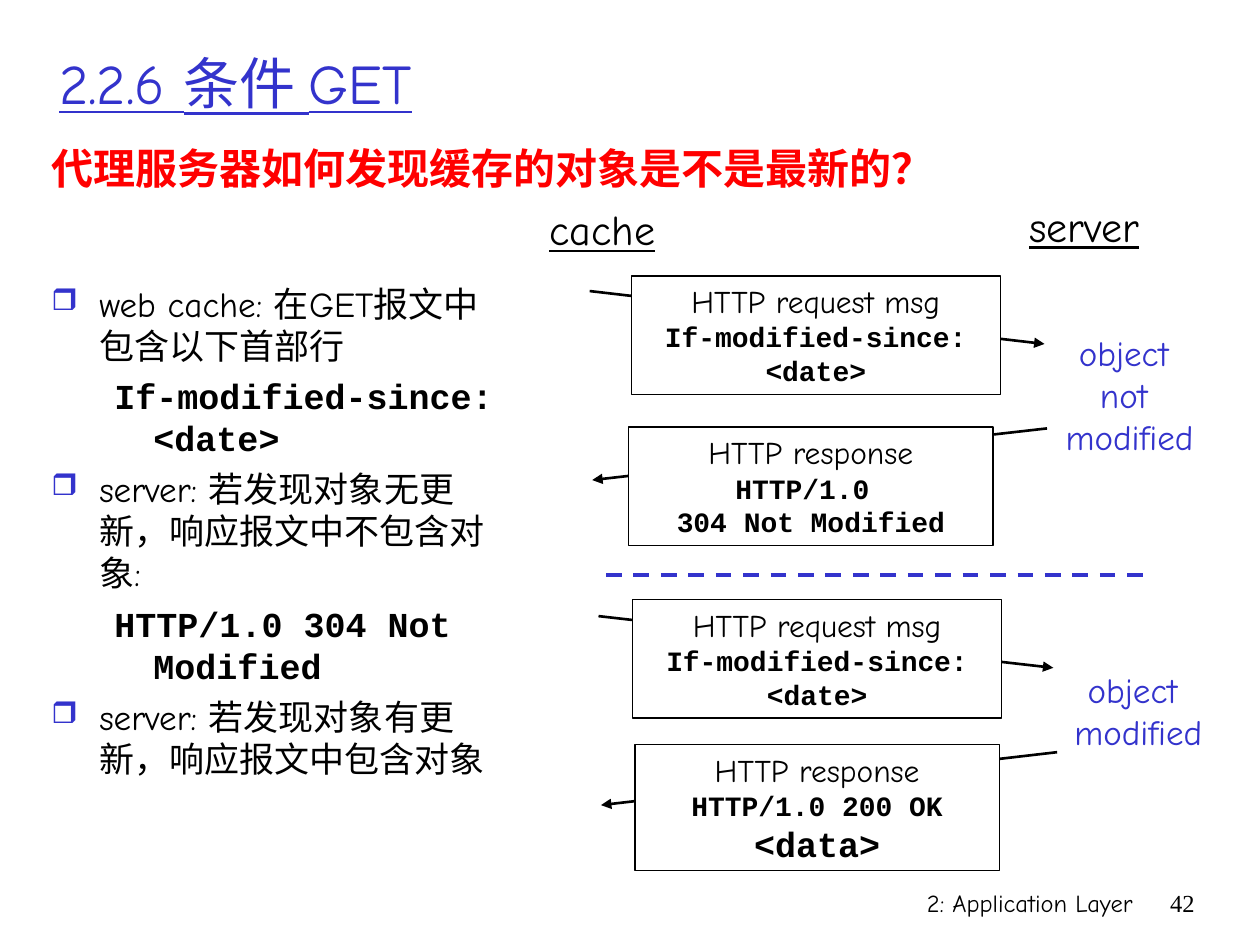
"""Build the conditional GET slide: explanation on the left, cache/server exchanges on the right."""
from lxml.etree import SubElement
from pptx import Presentation
from pptx.dml.color import RGBColor
from pptx.enum.dml import MSO_LINE
from pptx.enum.shapes import MSO_CONNECTOR, MSO_SHAPE
from pptx.enum.text import MSO_ANCHOR, MSO_AUTO_SIZE, PP_ALIGN
from pptx.oxml.ns import qn
from pptx.util import Inches, Pt

COLORS = {"black": "000000", "blue": "3333CC", "red": "FF0000", "white": "FFFFFF"}
COMIC, COURIER, TIMES = "Comic Neue", "Courier New", "Times New Roman"
LEFT, CENTER, RIGHT = PP_ALIGN.LEFT, PP_ALIGN.CENTER, PP_ALIGN.RIGHT

prs = Presentation()
prs.slide_width, prs.slide_height = Inches(10), Inches(7.5)
slide = prs.slides.add_slide(prs.slide_layouts[6])
col, row = prs.slide_width / 100, prs.slide_height / 75


def write(sp, lines, align=LEFT, color="black", underline=False, wrap=True, anchor=MSO_ANCHOR.TOP):
    tf = sp.text_frame
    tf.word_wrap, tf.vertical_anchor = wrap, anchor
    tf.auto_size = MSO_AUTO_SIZE.NONE if wrap else MSO_AUTO_SIZE.SHAPE_TO_FIT_TEXT
    for i, (text, size, font, bold) in enumerate(lines):
        p = tf.add_paragraph() if i else tf.paragraphs[0]
        p.alignment = align
        r = p.add_run()
        r.text = text
        r.font.name, r.font.size, r.font.bold = font, Pt(size), bold
        r.font.underline = underline
        r.font.color.rgb = RGBColor.from_string(COLORS[color])
    return tf


def connect(x1, y1, x2, y2, color="black", width=1.5):
    ends = [int(v) for v in (x1 * col, y1 * row, x2 * col, y2 * row)]
    cx = slide.shapes.add_connector(MSO_CONNECTOR.STRAIGHT, *ends)
    cx.line.color.rgb = RGBColor.from_string(COLORS[color])
    cx.line.width = Pt(width)
    SubElement(cx._element.spPr, qn("a:effectLst"))
    return cx


labels = [
    ((59.2, 70, 31.7, 5), [("2: Application Layer", 14, COMIC, False)], {"align": RIGHT}),
    ((90.8, 70, 5, 5), [("42", 14, TIMES, False)], {"align": RIGHT}),
    ((3.7, 1.7, 87.1, 9.7), [("2.2.6 条件 GET", 32, COMIC, False)],
     {"color": "blue", "underline": True, "anchor": MSO_ANCHOR.MIDDLE}),
    ((3.1, 10.8, 78.4, 5), [("代理服务器如何发现缓存的对象是不是最新的？", 24, COMIC, True)],
     {"color": "red"}),
    ((42.6, 15.7, 10.4, 5), [("cache", 24, COMIC, False)],
     {"align": CENTER, "underline": True, "wrap": False}),
    ((80.7, 15.4, 10.7, 5), [("server", 24, COMIC, False)],
     {"align": CENTER, "underline": True, "wrap": False}),
    ((83.4, 25.8, 12.5, 11), [(t, 20, COMIC, False) for t in ("object ", "not ", "modified")],
     {"align": CENTER, "color": "blue", "wrap": False}),
    ((84.1, 52.6, 12.5, 7.7), [(t, 20, COMIC, False) for t in ("object ", "modified")],
     {"align": CENTER, "color": "blue", "wrap": False}),
]
for (x, y, w, h), lines, style in labels:
    sp = slide.shapes.add_textbox(int(x * col), int(y * row), int(w * col), int(h * row))
    write(sp, lines, **style)

points = [
    ("web cache: 在GET报文中包含以下首部行", 20, COMIC, False),
    ("If-modified-since: <date>", 20, COURIER, True),
    ("server: 若发现对象无更新，响应报文中不包含对象:", 20, COMIC, False),
    ("HTTP/1.0 304 Not Modified", 20, COURIER, True),
    ("server: 若发现对象有更新，响应报文中包含对象", 20, COMIC, False),
]
sp = slide.shapes.add_textbox(int(3.1 * col), int(21.9 * row), int(38 * col), int(46.4 * row))
for p, (text, size, font, code) in zip(write(sp, points).paragraphs, points):
    p.space_before = Pt(5)
    pPr = p._p.get_or_add_pPr()
    margin, indent = (0.81, -0.31) if code else (0.38, -0.38)
    pPr.set("marL", str(Inches(margin)))
    pPr.set("indent", str(Inches(indent)))
    pPr.set("hangingPunct", "0")
    if code:
        p.level = 1
        SubElement(pPr, qn("a:buNone"))
    else:
        SubElement(SubElement(pPr, qn("a:buClr")), qn("a:srgbClr"), val=COLORS["blue"])
        SubElement(pPr, qn("a:buSzPct"), val="85000")
        SubElement(pPr, qn("a:buChar"), char="❒")

request = [("HTTP request msg", 18, COMIC, False), ("If-modified-since: <date>", 16, COURIER, True)]
response = ("HTTP response", 18, COMIC, False)
not_modified = [response, ("HTTP/1.0 ", 16, COURIER, True), ("304 Not Modified", 16, COURIER, True)]
modified = [response, ("HTTP/1.0 200 OK", 16, COURIER, True), ("<data>", 20, COURIER, True)]
messages = [
    ((46.8, 23.1, 82.9, 27.3), (50.1, 21.9, 29.3, 9.4), request),
    ((83.1, 34, 47, 38.1), (49.9, 33.9, 28.9, 9.4), not_modified),
    ((47.5, 48.9, 83.6, 53), (50.2, 47.6, 29.3, 9.4), request),
    ((83.9, 59.7, 47.7, 63.9), (50.4, 59.1, 28.9, 10), modified),
]
for ends, (x, y, w, h), lines in messages:
    arrow = connect(*ends)
    SubElement(arrow.line._get_or_add_ln(), qn("a:tailEnd"), type="triangle")
    sp = slide.shapes.add_shape(MSO_SHAPE.RECTANGLE, int(x * col), int(y * row), int(w * col), int(h * row))
    sp.shadow.inherit = False
    sp.fill.solid()
    sp.fill.fore_color.rgb = RGBColor.from_string(COLORS["white"])
    sp.line.color.rgb = RGBColor.from_string(COLORS["black"])
    sp.line.width = Pt(0.75)
    write(sp, lines, align=CENTER)

divider = connect(48.1, 45.6, 90.8, 45.6, color="blue", width=2.25)
divider.line.dash_style = MSO_LINE.DASH

prs.save("out.pptx")
